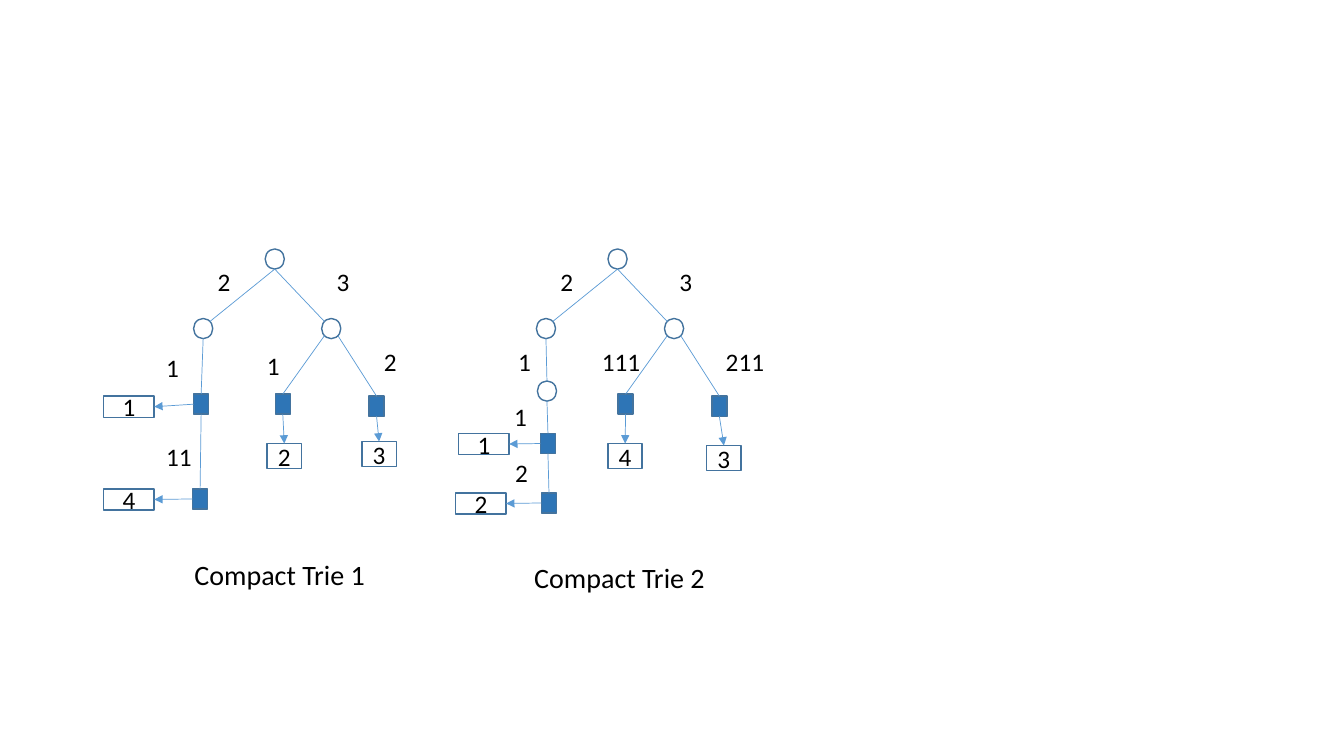
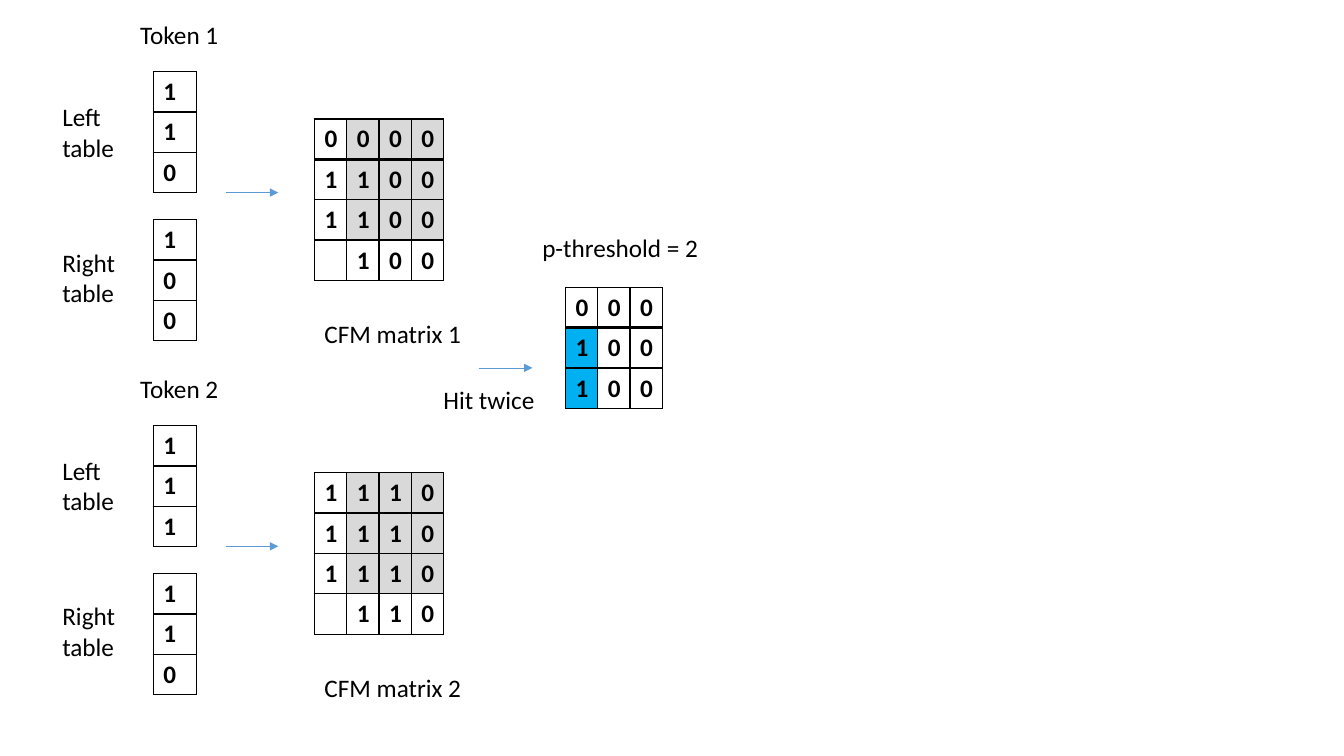
from lxml import etree
from pptx import Presentation
from pptx import util as u
from pptx.dml.color import RGBColor
from pptx.enum import shapes, text
from pptx.oxml import ns

FONT = "Calibri"
BLACK, WHITE, GREY, CYAN = "000000", "FFFFFF", "D9D9D9", "00B0F0"
NODE_BLUE, NODE_EDGE, LINK_BLUE = "2E75B6", "43739E", "5B9BD5"
CIRCLE_W, SQUARE_W, NODE_H = 0.19, 0.15, 0.2
ROW_H = 0.4
TOP, LEFT, BOTTOM, RIGHT = range(4)


def rgb(value):
    return RGBColor.from_string(value)


class Canvas:
    """Holds the shared style and draws on the current slide."""

    def __init__(self):
        self.deck = Presentation()
        self.deck.slide_width, self.deck.slide_height = u.Inches(13.33), u.Inches(7.5)
        self.slide = None

    def new_slide(self):
        self.slide = self.deck.slides.add_slide(self.deck.slide_layouts[6])

    def style(self, paragraph, size=18, bold=False):
        for run in paragraph.runs:
            run.font.name, run.font.size = FONT, u.Pt(size)
            run.font.bold = bold
            run.font.color.rgb = rgb(BLACK)

    def label(self, words, x, y, width, height=0.4, size=18):
        frame = self.slide.shapes.add_textbox(
            u.Inches(x), u.Inches(y), u.Inches(width), u.Inches(height)).text_frame
        frame.word_wrap = True
        frame.auto_size = text.MSO_AUTO_SIZE.SHAPE_TO_FIT_TEXT
        frame.text = words
        self.style(frame.paragraphs[0], size)

    def outline(self, kind, x, y, width, height, fill=None):
        shape = self.slide.shapes.add_shape(
            kind, u.Inches(x), u.Inches(y), u.Inches(width), u.Inches(height))
        shape.shadow.inherit = False
        if fill:
            shape.fill.solid()
            shape.fill.fore_color.rgb = rgb(fill)
        else:
            shape.fill.background()
        shape.line.color.rgb, shape.line.width = rgb(NODE_EDGE), u.Pt(1)
        return shape

    def circle(self, x, y):
        return self.outline(shapes.MSO_SHAPE.OVAL, x, y, CIRCLE_W, NODE_H, WHITE)

    def square(self, x, y):
        return self.outline(shapes.MSO_SHAPE.RECTANGLE, x, y, SQUARE_W, NODE_H, NODE_BLUE)

    def record(self, words, x, y, width, height):
        box = self.outline(shapes.MSO_SHAPE.RECTANGLE, x, y, width, height)
        frame = box.text_frame
        frame.vertical_anchor = text.MSO_ANCHOR.MIDDLE
        frame.text = words
        frame.paragraphs[0].alignment = text.PP_ALIGN.CENTER
        self.style(frame.paragraphs[0])
        return box

    def link(self, start, end, arrow=False):
        """Each end is an (x, y) point or a (rectangle, side) pair."""
        line = self.slide.shapes.add_connector(shapes.MSO_CONNECTOR.STRAIGHT, 0, 0, 0, 0)
        if isinstance(start[0], (int, float)):
            line.begin_x, line.begin_y = map(u.Inches, start)
        else:
            line.begin_connect(*start)
        if isinstance(end[0], (int, float)):
            line.end_x, line.end_y = map(u.Inches, end)
        else:
            line.end_connect(*end)
        line.line.color.rgb, line.line.width = rgb(LINK_BLUE), u.Pt(0.5)
        if arrow:
            etree.SubElement(line.line._get_or_add_ln(), ns.qn("a:tailEnd"), type="triangle")
        etree.SubElement(line._element.spPr, ns.qn("a:effectLst"))

    def border(self, cell, bottom):
        properties = cell._tc.get_or_add_tcPr()
        for index, (side, points) in enumerate(
                (("lnL", 1), ("lnR", 1), ("lnT", 1), ("lnB", bottom))):
            edge = etree.Element(ns.qn("a:" + side), w=str(u.Pt(points)))
            fill = etree.SubElement(edge, ns.qn("a:solidFill"))
            etree.SubElement(fill, ns.qn("a:srgbClr"), val=BLACK)
            properties.insert(index, edge)

    def bits(self, rows, x, y, column, shaded=(), shade=GREY):
        """Draws one digit per cell; shaded holds (row, column) places."""
        count = len(rows[0])
        grid = self.slide.shapes.add_table(
            len(rows), count, u.Inches(x), u.Inches(y),
            u.Inches(column * count), u.Inches(ROW_H * len(rows))).table
        grid.first_row = grid.horz_banding = False
        for r, digits in enumerate(rows):
            for c, digit in enumerate(digits):
                cell = grid.cell(r, c)
                cell.text = digit.strip()
                self.style(cell.text_frame.paragraphs[0], bold=True)
                if (r, c) in shaded:
                    cell.fill.solid()
                    cell.fill.fore_color.rgb = rgb(shade)
                else:
                    cell.fill.background()
                self.border(cell, bottom=2 if r == 0 else 1)


def circle_point(x, y, across, down):
    return x + across * CIRCLE_W, y + down * NODE_H


def draw_trie(canvas, dx, chain, leaves):
    """chain runs down the left side; leaves hang below the right child."""
    root, left, right = (2.63 + dx, 2.47), (1.92 + dx, 3.16), (3.19 + dx, 3.16)
    for node in (root, left, right):
        canvas.circle(*node)

    # Edges from the root
    root_foot = circle_point(*root, 0.5, 1)
    canvas.link(root_foot, circle_point(*left, 0.85, 0.15))
    canvas.link(root_foot, circle_point(*right, 0.15, 0.15))
    canvas.label("2", 2.06 + dx, 2.59, 0.37)
    canvas.label("3", 3.24 + dx, 2.59, 0.37)

    # Left chain
    above = circle_point(*left, 0.5, 1)
    for place, edge_label, box in chain:
        if box:
            square = canvas.square(*place)
            canvas.link(above, (square, TOP))
            canvas.link((square, LEFT), (canvas.record(*box, 0.5, 0.21), RIGHT), arrow=True)
            above = (square, BOTTOM)
        else:
            canvas.circle(*place)
            canvas.link(above, circle_point(*place, 0.5, 0))
            above = circle_point(*place, 0.5, 1)
        canvas.label(*edge_label)

    # Right leaves
    for across, x, y, edge_label, box in ((0.15, 2.73, 3.91, *leaves[0]),
                                          (0.85, 3.66, 3.93, *leaves[1])):
        square = canvas.square(x + dx, y)
        canvas.link(circle_point(*right, across, 0.85), (square, TOP))
        canvas.link((square, BOTTOM), (canvas.record(*box, 0.34, 0.25), TOP), arrow=True)
        canvas.label(*edge_label)


def tries_slide(canvas):
    canvas.new_slide()
    draw_trie(
        canvas, 0,
        chain=[((1.92, 3.91), ("1", 1.55, 3.45, 0.37), ("1", 1.03, 3.93)),
               ((1.91, 4.85), ("11", 1.55, 4.33, 0.51), ("4", 1.03, 4.85))],
        leaves=[(("1", 2.55, 3.43, 0.37), ("2", 2.65, 4.4)),
                (("2", 3.71, 3.39, 0.37), ("3", 3.59, 4.38))])
    draw_trie(
        canvas, 3.4,
        chain=[((5.33, 3.78), ("1", 5.04, 3.39, 0.37), None),
               ((5.36, 4.3), ("1", 5, 3.93, 0.37), ("1", 4.55, 4.3)),
               ((5.37, 4.89), ("2", 5.01, 4.49, 0.51), ("2", 4.52, 4.89))],
        leaves=[(("111", 5.87, 3.39, 0.72), ("4", 6.03, 4.4)),
                (("211", 7.1, 3.39, 0.77), ("3", 7.01, 4.42))])
    canvas.label("Compact Trie 1", 1.83, 5.48, 2.28, 0.44, size=20)
    canvas.label("Compact Trie 2", 5.2, 5.51, 2.28, 0.44, size=20)


def matrices_slide(canvas):
    canvas.new_slide()
    inner = {(r, c) for r in range(3) for c in range(1, 4)}
    tokens = [("110", "100", ["0000", "1100", "1100", " 100"]),
              ("111", "110", ["1110", "1110", "1110", " 110"])]

    # Tokens with their CFM matrices
    for number, (left_bits, right_bits, matrix) in enumerate(tokens, 1):
        dy = 3.51 * (number - 1)
        canvas.label(f"Token {number}", 1.29, 0.14 + dy, 1.31)
        canvas.label("Left table", 0.52, 0.96 + dy, 0.97, 0.71)
        canvas.label("Right table", 0.52, 2.4 + dy, 0.97, 0.71)
        canvas.bits(left_bits, 1.52, 0.71 + dy, 0.43)
        canvas.bits(right_bits, 1.52, 2.18 + dy, 0.43)
        canvas.link((2.24, 1.91 + dy), (2.76, 1.91 + dy), arrow=True)
        canvas.bits(matrix, 3.12, 1.18 + dy, 0.32, inner)
        canvas.label(f"CFM matrix {number}", 3.12, 3.11 + dy, 1.63)

    # Combined result
    canvas.link((4.75, 3.65), (5.28, 3.65), arrow=True)
    canvas.label("Hit twice", 4.3, 3.76, 1.26)
    canvas.label("p-threshold = 2", 5.28, 2.26, 2.11)
    canvas.bits(["000", "100", "100"], 5.61, 2.85, 0.32, {(1, 0), (2, 0)}, CYAN)


def main():
    canvas = Canvas()
    tries_slide(canvas)
    matrices_slide(canvas)
    canvas.deck.save("out.pptx")


if __name__ == "__main__":
    main()
